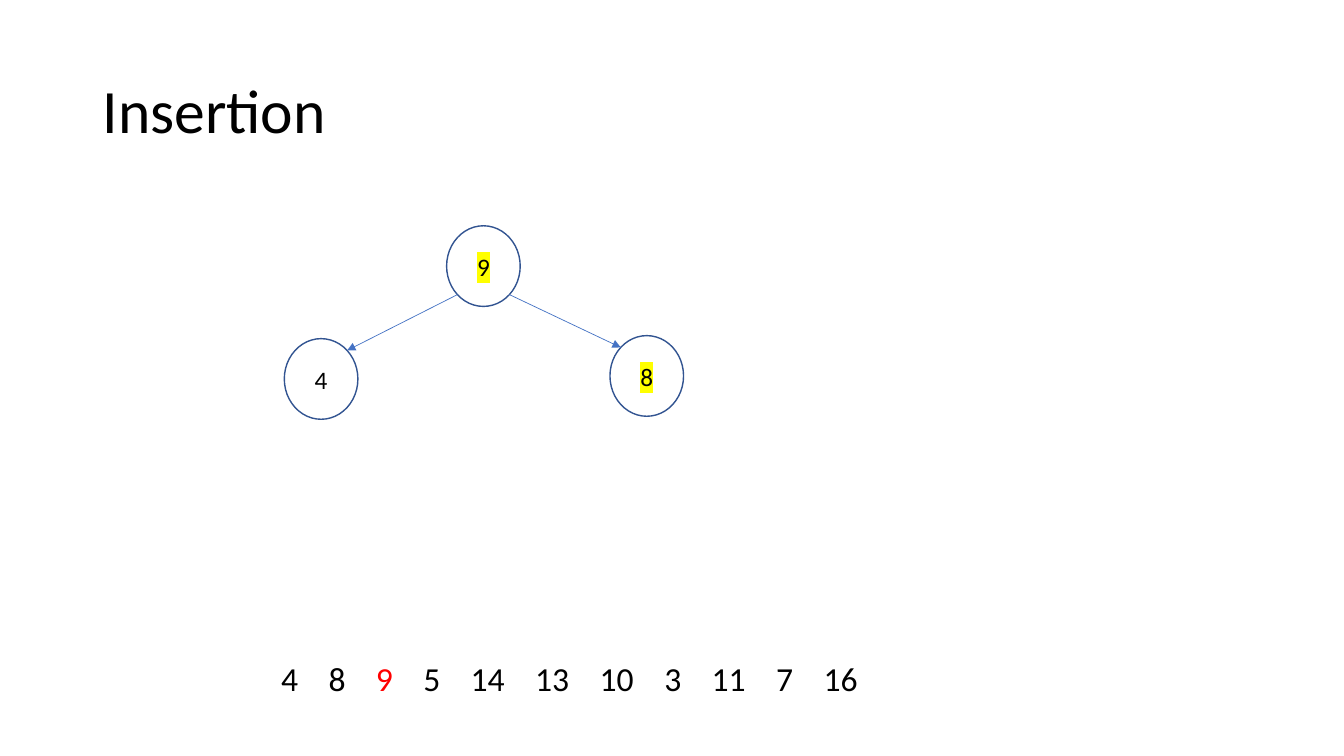
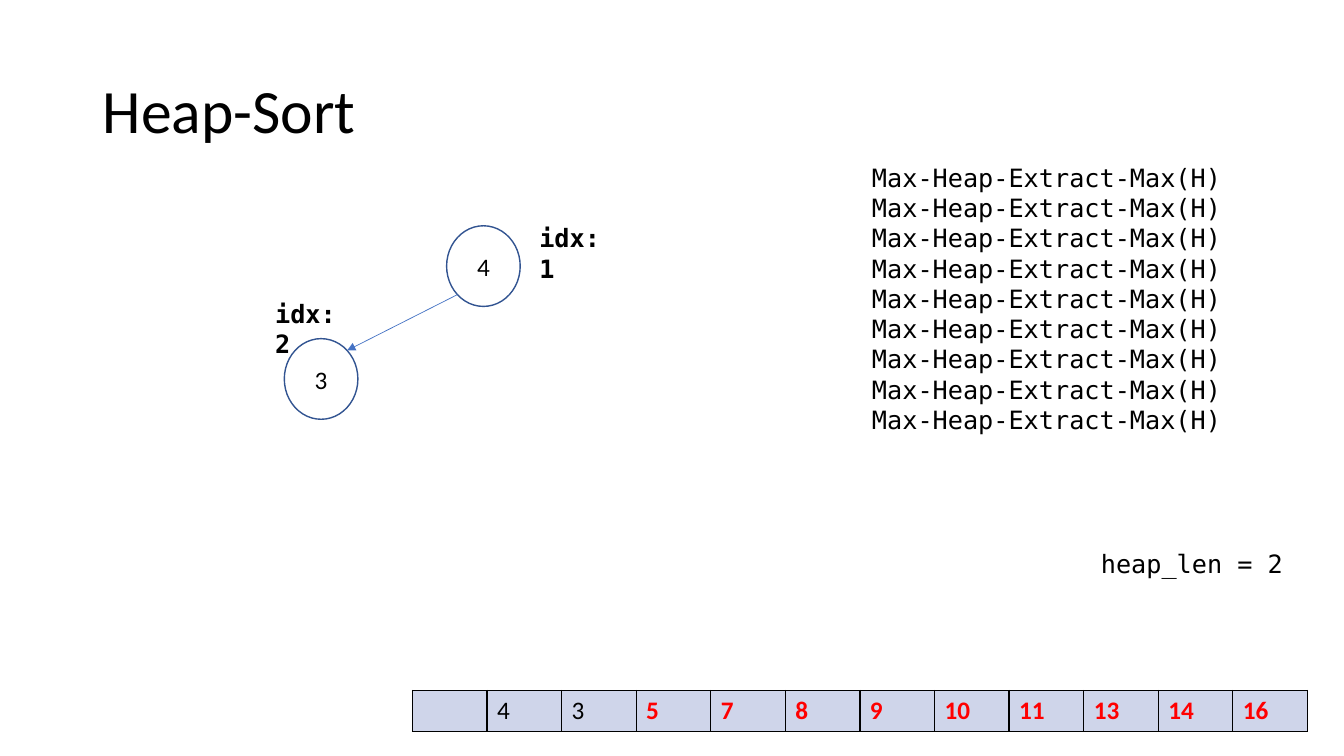
"""Builds two slides on heap insertion and heap sort."""
import math

import pptx
import pptx.dml.color
import pptx.enum.shapes
import pptx.enum.text
import pptx.oxml
import pptx.oxml.ns
import pptx.util

EMU_PER_PX = 9144
BLACK, RED, YELLOW = "000000", "FF0000", "FFFF00"
NODE_LINE, EDGE_LINE, CELL_FILL = "325491", "4472C4", "CFD5EA"
SANS, MONO = "Calibri", "DejaVu Sans Mono"
NODE_W, NODE_H = 73, 80
ROOT, LEFT, RIGHT = (443, 224), (282, 336), (605, 333)


def px(n):
    """Turn px into EMU."""
    return pptx.util.Emu(round(n * EMU_PER_PX))


def rgb(value):
    """Turn a hex string into a colour."""
    return pptx.dml.color.RGBColor.from_string(value)


def element(xml):
    """Parse one DrawingML element."""
    ns = pptx.oxml.ns.nsdecls("a")
    return pptx.oxml.parse_xml(xml.replace("{ns}", ns))


class Deck:
    """Holds the style and the current slide."""

    def __init__(self):
        """Start an empty widescreen deck."""
        self.prs = pptx.Presentation()
        self.prs.slide_width, self.prs.slide_height = px(1333), px(750)
        self.s = None

    def slide(self, title):
        """Add a slide with its title."""
        self.s = self.prs.slides.add_slide(self.prs.slide_layouts[6])
        tf = self.text_box(92, 40, 1150, 145)
        tf.vertical_anchor = pptx.enum.text.MSO_ANCHOR.MIDDLE
        tf.paragraphs[0].line_spacing = 0.9
        self.run(tf.paragraphs[0], title, size=44)

    def run(self, p, text, size=18, font=SANS, color=BLACK, bold=False, highlight=None):
        """Add one styled run."""
        r = p.add_run()
        r.text = text
        r.font.size, r.font.name, r.font.bold = pptx.util.Pt(size), font, bold
        r.font.color.rgb = rgb(color)
        if highlight:
            fill = r.font._element.find(pptx.oxml.ns.qn("a:solidFill"))
            fill.addnext(element(
                f'<a:highlight {{ns}}><a:srgbClr val="{highlight}"/></a:highlight>'))

    def text_box(self, x, y, w, h):
        """Add a wrapping text box and return its text frame."""
        tf = self.s.shapes.add_textbox(px(x), px(y), px(w), px(h)).text_frame
        tf.word_wrap = True
        return tf

    def code(self, x, y, w, h, lines, bold=False):
        """Add lines of monospaced text."""
        tf = self.text_box(x, y, w, h)
        for i, line in enumerate(lines):
            p = tf.add_paragraph() if i else tf.paragraphs[0]
            self.run(p, line, font=MONO, bold=bold)

    def node(self, place, label, highlight=None):
        """Add a tree node."""
        x, y = place
        sp = self.s.shapes.add_shape(
            pptx.enum.shapes.MSO_SHAPE.OVAL, px(x), px(y), px(NODE_W), px(NODE_H))
        sp.shadow.inherit = False
        sp.fill.background()
        sp.line.color.rgb, sp.line.width = rgb(NODE_LINE), pptx.util.Pt(1)
        tf = sp.text_frame
        tf.vertical_anchor = pptx.enum.text.MSO_ANCHOR.MIDDLE
        p = tf.paragraphs[0]
        p.alignment = pptx.enum.text.PP_ALIGN.CENTER
        self.run(p, label, highlight=highlight)

    def edge(self, parent, child):
        """Add an arrow between the diagonal points of two nodes."""
        side = 1 if child[0] > parent[0] else -1
        dx = side * NODE_W / 2 * math.sqrt(0.5)
        dy = NODE_H / 2 * math.sqrt(0.5)
        cx, cy = NODE_W / 2, NODE_H / 2
        line = self.s.shapes.add_connector(
            pptx.enum.shapes.MSO_CONNECTOR.STRAIGHT,
            px(parent[0] + cx + dx), px(parent[1] + cy + dy),
            px(child[0] + cx - dx), px(child[1] + cy - dy))
        line.line.color.rgb, line.line.width = rgb(EDGE_LINE), pptx.util.Pt(0.5)
        line.line._get_or_add_ln().append(element('<a:tailEnd {ns} type="triangle"/>'))
        line._element.spPr.append(element("<a:effectLst {ns}/>"))

    def sequence(self, x, y, w, h, values, current):
        """Add a row of numbers with even gaps and one in red."""
        digit, gap = 17, 30
        p = self.text_box(x, y, w, h).paragraphs[0]
        tabs = element("<a:tabLst {ns}/>")
        stop = 0
        for value in values[:-1]:
            stop += digit * len(value) + gap
            tabs.append(element(f'<a:tab {{ns}} pos="{px(stop)}" algn="l"/>'))
        p._p.get_or_add_pPr().append(tabs)
        for i, value in enumerate(values):
            self.run(p, "\t" + value if i else value, size=24,
                     color=RED if value == current else BLACK)

    def array(self, x, y, cell_w, cell_h, values, heap_len):
        """Add the array, with the sorted part after the heap in red."""
        table = self.s.shapes.add_table(
            1, len(values), px(x), px(y), px(cell_w * len(values)), px(cell_h)).table
        table.first_row = table.horz_banding = False
        table.rows[0].height = px(cell_h)
        for i, value in enumerate(values):
            table.columns[i].width = px(cell_w)
            cell = table.cell(0, i)
            in_order = i > heap_len
            if value:
                self.run(cell.text_frame.paragraphs[0], value, bold=in_order,
                         color=RED if in_order else BLACK)
            tcPr = cell._tc.get_or_add_tcPr()
            for side in ("lnL", "lnR", "lnT", "lnB"):
                tcPr.append(element(
                    f'<a:{side} {{ns}} w="12700"><a:solidFill>'
                    f'<a:srgbClr val="{BLACK}"/></a:solidFill></a:{side}>'))
            cell.fill.solid()
            cell.fill.fore_color.rgb = rgb(CELL_FILL)


def main():
    """Build and save the slides."""
    deck = Deck()

    deck.slide("Insertion")
    deck.node(ROOT, "9", YELLOW)
    deck.node(LEFT, "4")
    deck.node(RIGHT, "8", YELLOW)
    deck.edge(ROOT, LEFT)
    deck.edge(ROOT, RIGHT)
    deck.sequence(269, 648, 737, 50, "4 8 9 5 14 13 10 3 11 7 16".split(), "9")

    deck.slide("Heap-Sort")
    deck.node(ROOT, "4")
    deck.node(LEFT, "3")
    deck.edge(ROOT, LEFT)
    deck.code(525, 216, 91, 40, ["idx:1"], bold=True)
    deck.code(263, 291, 91, 40, ["idx:2"], bold=True)
    deck.array(409, 685, 74, 41, ["", *"4 3 5 7 8 9 10 11 13 14 16".split()], 2)
    deck.code(1082, 539, 217, 40, ["heap_len = 2"])
    deck.code(855, 156, 375, 495, ["Max-Heap-Extract-Max(H)"] * 9)

    deck.prs.save("out.pptx")


if __name__ == "__main__":
    main()
